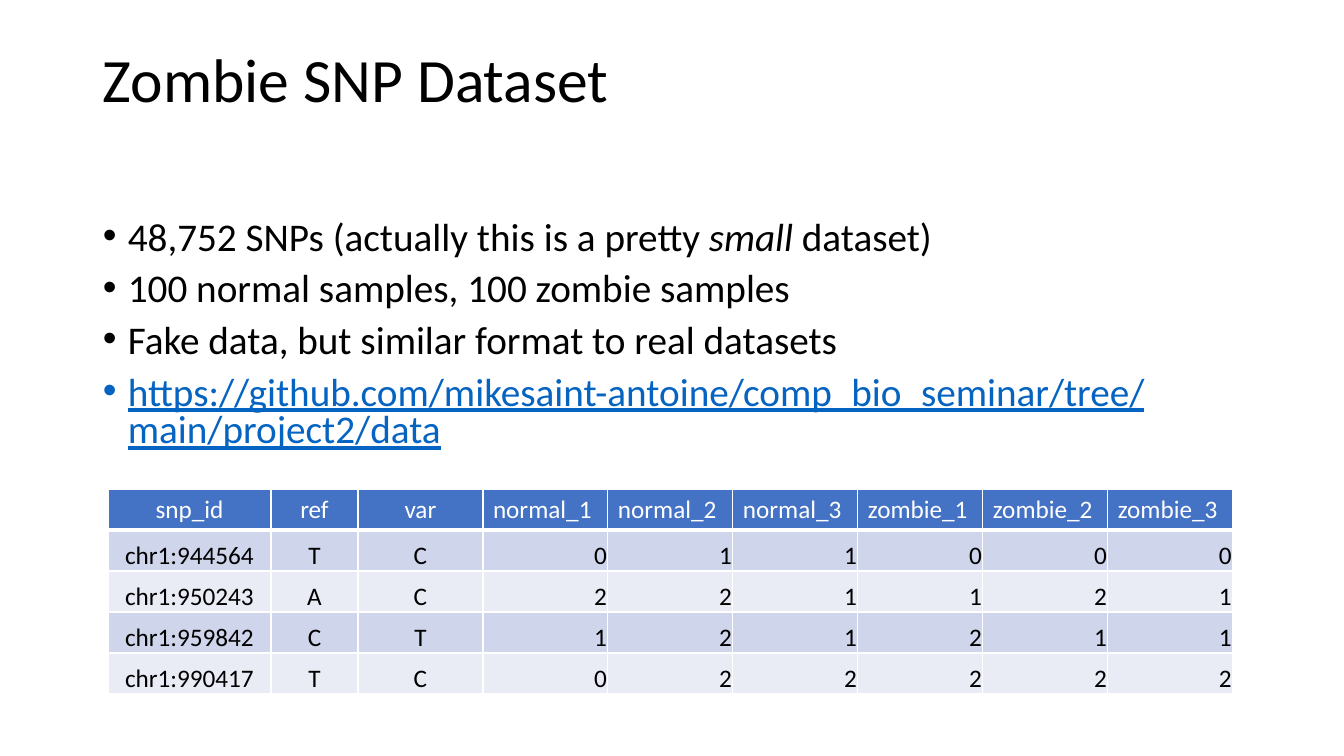
from dataclasses import dataclass

from lxml import etree
from pptx import Presentation
from pptx.dml.color import RGBColor
from pptx.enum.text import MSO_ANCHOR, PP_ALIGN
from pptx.oxml.ns import qn
from pptx.util import Emu, Pt

SLIDE_WIDTH, SLIDE_HEIGHT = 1344, 756
EMU_PER_PX = 12192000 / SLIDE_WIDTH
FONT = "Calibri"
BLACK, WHITE, LINK_BLUE = "000000", "FFFFFF", "0563C1"
HEADER_BLUE = "4472C4"
BAND_FILLS = ("CFD5EA", "E9EBF5")
LEFT, CENTER, RIGHT = PP_ALIGN.LEFT, PP_ALIGN.CENTER, PP_ALIGN.RIGHT
TOP, MIDDLE, BOTTOM = MSO_ANCHOR.TOP, MSO_ANCHOR.MIDDLE, MSO_ANCHOR.BOTTOM


@dataclass(frozen=True)
class Box:
    left: int
    top: int
    width: int
    height: int


@dataclass(frozen=True)
class TextRun:
    text: str
    size: int
    color: str = BLACK
    italic: bool = False
    underline: bool = False


@dataclass(frozen=True)
class Column:
    header: str
    width: int
    header_align: PP_ALIGN
    align: PP_ALIGN


TITLE_BOX = Box(93, 40, 1159, 86)
BODY_BOX = Box(93, 216, 1159, 260)
TABLE_LEFT, TABLE_TOP, ROW_HEIGHT = 108, 489, 41
BULLET_INDENT = 25
BODY_SIZE, TABLE_SIZE = 28, 18

BULLETS = [
    [
        TextRun("48,752 SNPs (actually this is a pretty ", BODY_SIZE),
        TextRun("small ", BODY_SIZE, italic=True),
        TextRun("dataset)", BODY_SIZE),
    ],
    [TextRun("100 normal samples, 100 zombie samples", BODY_SIZE)],
    [TextRun("Fake data, but similar format to real datasets", BODY_SIZE)],
    [
        TextRun(
            "https://github.com/mikesaint-antoine/comp_bio_seminar/tree/main/project2/data",
            BODY_SIZE, LINK_BLUE, underline=True,
        )
    ],
]

COLUMNS = [
    Column("snp_id", 163, CENTER, CENTER),
    Column("ref", 87, CENTER, CENTER),
    Column("var", 125, CENTER, CENTER),
] + [
    Column(f"{group}_{number}", 125, LEFT, RIGHT)
    for group in ("normal", "zombie")
    for number in (1, 2, 3)
]

SNP_ROWS = [
    ("chr1:944564", "T", "C", 0, 1, 1, 0, 0, 0),
    ("chr1:950243", "A", "C", 2, 2, 1, 1, 2, 1),
    ("chr1:959842", "C", "T", 1, 2, 1, 2, 1, 1),
    ("chr1:990417", "T", "C", 0, 2, 2, 2, 2, 2),
]


def px(length: int) -> Emu:
    return Emu(round(length * EMU_PER_PX))


def rgb(color: str) -> RGBColor:
    return RGBColor.from_string(color)


def add_run(paragraph, text_run: TextRun) -> None:
    run = paragraph.add_run()
    run.text = text_run.text
    font = run.font
    font.name = FONT
    font.size = Pt(text_run.size)
    font.color.rgb = rgb(text_run.color)
    font.italic = text_run.italic
    font.underline = text_run.underline


def add_text_frame(slide, box: Box, anchor: MSO_ANCHOR):
    shape = slide.shapes.add_textbox(
        px(box.left), px(box.top), px(box.width), px(box.height)
    )
    frame = shape.text_frame
    frame.word_wrap = True
    frame.vertical_anchor = anchor
    return frame


def set_bullet(paragraph) -> None:
    properties = paragraph._p.get_or_add_pPr()
    properties.set("marL", str(px(BULLET_INDENT)))
    properties.set("indent", str(-px(BULLET_INDENT)))
    etree.SubElement(properties, qn("a:buFont"), typeface="Arial")
    etree.SubElement(properties, qn("a:buChar"), char="•")


def add_title(slide) -> None:
    paragraph = add_text_frame(slide, TITLE_BOX, MIDDLE).paragraphs[0]
    paragraph.line_spacing = 0.9
    add_run(paragraph, TextRun("Zombie SNP Dataset", 44))


def add_bullets(slide) -> None:
    frame = add_text_frame(slide, BODY_BOX, TOP)
    for index, runs in enumerate(BULLETS):
        paragraph = frame.add_paragraph() if index else frame.paragraphs[0]
        set_bullet(paragraph)
        paragraph.line_spacing = 0.8
        if index:
            paragraph.space_before = Pt(10)
        for text_run in runs:
            add_run(paragraph, text_run)


def set_borders(cell, bottom_width: int) -> None:
    properties = cell._tc.get_or_add_tcPr()
    for side, width in (("L", 1), ("R", 1), ("T", 1), ("B", bottom_width)):
        line = etree.SubElement(properties, qn(f"a:ln{side}"), w=str(Pt(width)))
        fill = etree.SubElement(line, qn("a:solidFill"))
        etree.SubElement(fill, qn("a:srgbClr"), val=WHITE)


def fill_cell(cell, text_run: TextRun, align: PP_ALIGN, fill: str, border: int) -> None:
    set_borders(cell, border)
    cell.fill.solid()
    cell.fill.fore_color.rgb = rgb(fill)
    paragraph = cell.text_frame.paragraphs[0]
    paragraph.alignment = align
    add_run(paragraph, text_run)


def add_snp_table(slide) -> None:
    row_count = len(SNP_ROWS) + 1
    table = slide.shapes.add_table(
        row_count, len(COLUMNS), px(TABLE_LEFT), px(TABLE_TOP),
        px(sum(column.width for column in COLUMNS)), px(ROW_HEIGHT * row_count),
    ).table
    for row in table.rows:
        row.height = px(ROW_HEIGHT)
    for column_index, column in enumerate(COLUMNS):
        table.columns[column_index].width = px(column.width)
        header = TextRun(column.header, TABLE_SIZE, WHITE)
        fill_cell(table.cell(0, column_index), header, column.header_align, HEADER_BLUE, 3)
        for row_index, values in enumerate(SNP_ROWS):
            cell = table.cell(row_index + 1, column_index)
            value = TextRun(str(values[column_index]), TABLE_SIZE)
            fill_cell(cell, value, column.align, BAND_FILLS[row_index % 2], 1)
            cell.vertical_anchor = BOTTOM
            cell.margin_left = cell.margin_right = cell.margin_top = px(1)
            cell.margin_bottom = 0


def main() -> None:
    presentation = Presentation()
    presentation.slide_width = px(SLIDE_WIDTH)
    presentation.slide_height = px(SLIDE_HEIGHT)
    slide = presentation.slides.add_slide(presentation.slide_layouts[6])
    add_title(slide)
    add_bullets(slide)
    add_snp_table(slide)
    presentation.save("out.pptx")


if __name__ == "__main__":
    main()
